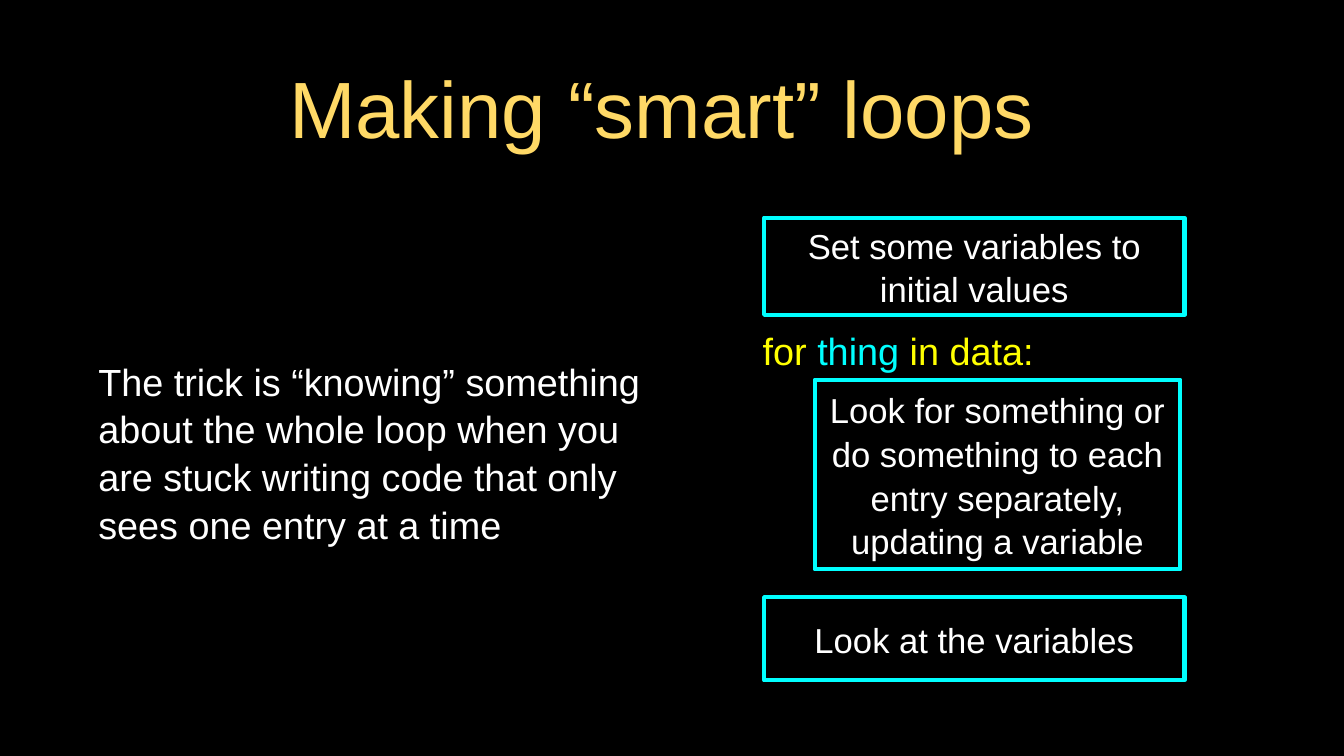
from pptx import Presentation, util as u
from pptx.dml.color import RGBColor
from pptx.enum import shapes, text
from pptx.oxml.ns import qn
from lxml import etree

BLACK = RGBColor(0x00, 0x00, 0x00)
WHITE = RGBColor(0xFF, 0xFF, 0xFF)
GOLD = RGBColor(0xFF, 0xD9, 0x66)
CYAN = RGBColor(0x00, 0xFF, 0xFF)
YELLOW = RGBColor(0xFF, 0xFF, 0x00)

WIDTH, HEIGHT = 17.78, 10


def place(item, box):
    item.left, item.top, item.width, item.height = map(u.Inches, box)


def write(item, *spans, size=33, align=text.PP_ALIGN.CENTER, inset=0, spacing=1.05):
    """Fill an item with one paragraph of (wording, colour) spans."""
    frame = item.text_frame
    frame.word_wrap = True
    frame.auto_size = text.MSO_AUTO_SIZE.NONE
    frame.vertical_anchor = text.MSO_ANCHOR.MIDDLE
    frame.margin_left = frame.margin_right = u.Inches(inset)
    frame.margin_top = frame.margin_bottom = u.Inches(inset)
    para = frame.paragraphs[0]
    para.alignment = align
    para.line_spacing = spacing
    para.space_before = u.Pt(0)
    for wording, colour in spans:
        span = para.add_run()
        span.text = wording
        span.font.name = "Arial"
        span.font.size = u.Pt(size)
        span.font.color.rgb = colour
    return para


def add_heading(page, box):
    place(page.shapes.title, box)
    write(page.shapes.title, ("Making “smart” loops", GOLD),
          size=76, inset=0.04, spacing=1)


def add_explanation(page, box):
    body = page.placeholders[1]
    place(body, box)
    para = write(body, ("The trick is “knowing” something about the whole loop "
                        "when you are stuck writing code that only sees one "
                        "entry at a time", WHITE),
                 size=36, align=text.PP_ALIGN.LEFT, inset=0.04)
    properties = para._p.get_or_add_pPr()
    properties.set("marL", "0")
    properties.set("indent", "0")
    etree.SubElement(properties, qn("a:buNone"))


def add_step(page, wording, box):
    step = page.shapes.add_shape(shapes.MSO_SHAPE.RECTANGLE, *map(u.Inches, box))
    step.shadow.inherit = False
    step.fill.background()
    step.line.color.rgb = CYAN
    step.line.width = u.Pt(4)
    write(step, (wording, WHITE))


def add_loop_pattern(page, box):
    """Stack the setup, loop and result steps, with the loop step indented."""
    left, top, width, height = box
    add_step(page, "Set some variables to initial values",
             (left, top, width, 0.21 * height))
    add_step(page, "Look for something or do something to each entry "
                   "separately, updating a variable",
             (left + 0.12 * width, top + 0.35 * height, 0.87 * width, 0.41 * height))
    loop = page.shapes.add_textbox(*map(u.Inches, (
        left - 0.09, top + 0.23 * height, 0.67 * width, 0.11 * height)))
    write(loop, ("for ", YELLOW), ("thing", CYAN), (" in data:", YELLOW), size=36)
    add_step(page, "Look at the variables",
             (left, top + 0.82 * height, width, 0.18 * height))


def main():
    deck = Presentation()
    deck.slide_width, deck.slide_height = u.Inches(WIDTH), u.Inches(HEIGHT)
    page = deck.slides.add_slide(deck.slide_layouts[1])
    page.background.fill.solid()
    page.background.fill.fore_color.rgb = BLACK
    add_heading(page, (1.13, -0.28, 15.24, 3.37))
    add_explanation(page, (1.26, 2.85, 7.49, 6.24))
    add_loop_pattern(page, (10.11, 2.88, 5.56, 6.12))
    deck.save("out.pptx")


if __name__ == "__main__":
    main()
